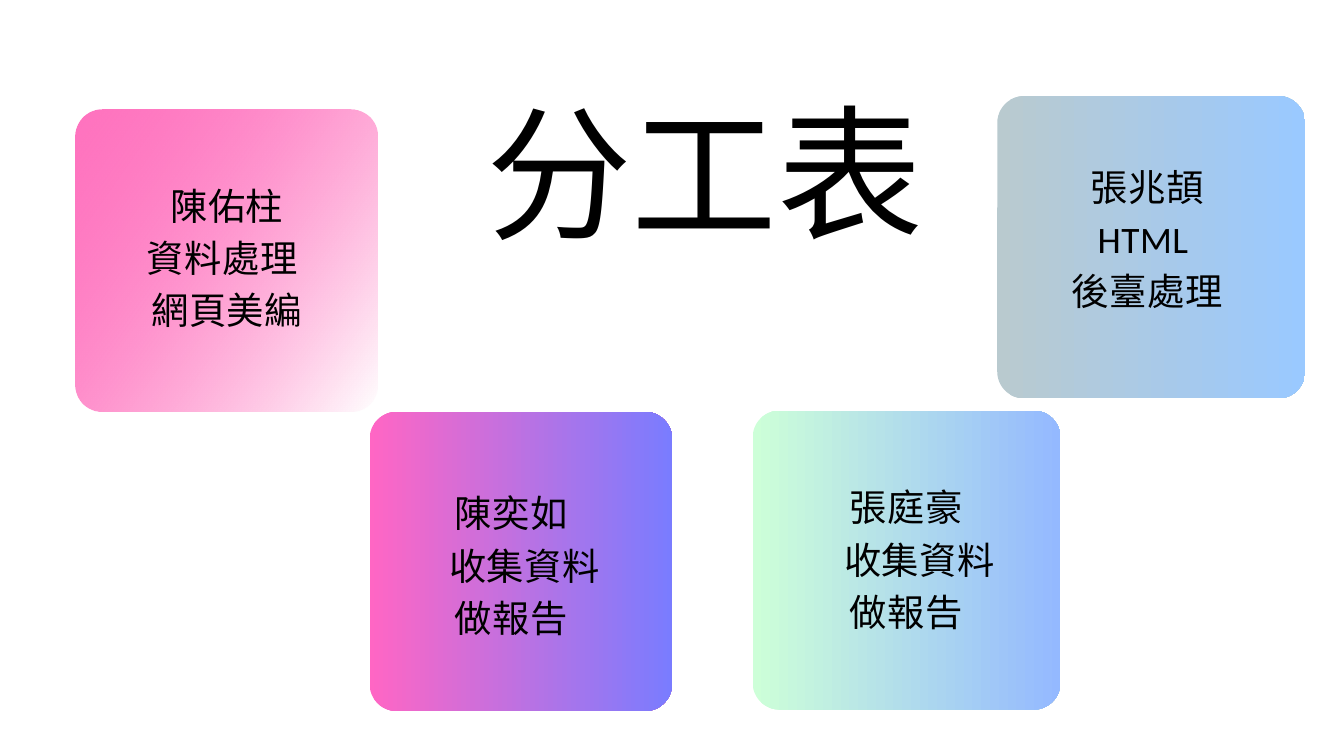
from dataclasses import dataclass

from lxml.etree import SubElement
from pptx import Presentation
from pptx.dml.color import RGBColor
from pptx.enum.shapes import MSO_SHAPE
from pptx.enum.text import MSO_ANCHOR, MSO_AUTO_SIZE, PP_ALIGN
from pptx.oxml.ns import qn
from pptx.util import Inches, Pt


@dataclass
class Line:
    text: str
    indent: float = 0


@dataclass
class Card:
    left: float
    top: float
    width: float
    height: float
    label: tuple[float, float]
    start: str
    end: str
    lines: list[Line]
    angle: float = 0
    alpha: int = 100


FRAME = {"word_wrap": True}
LABEL = FRAME | {"vertical_anchor": MSO_ANCHOR.MIDDLE}
TITLE = FRAME | {"auto_size": MSO_AUTO_SIZE.SHAPE_TO_FIT_TEXT}
SIDES = ("left", "top", "right", "bottom")
RADIUS = 0.4
SHIFT = 0.4

CARDS = [
    Card(1.12, 1.63, 4.5, 4.5, (1.69, 1.93), "FF008A", "FFFFFF",
         [Line("陳佑柱"), Line("資料處理 "), Line("網頁美編")], 325, 55),
    Card(14.84, 1.43, 4.58, 4.5, (15.39, 1.65), "B9CACF", "9AC9FF",
         [Line("張兆頡"), Line("HTML "), Line("後臺處理")]),
    Card(5.5, 6.13, 4.5, 4.45, (5.92, 6.51), "FF66C4", "7A7CFF",
         [Line("陳奕如"), Line("收集資料", SHIFT), Line("做報告")]),
    Card(11.2, 6.11, 4.58, 4.45, (11.8, 6.42), "CDFFD8", "94B9FF",
         [Line("張庭豪"), Line("收集資料", SHIFT), Line("做報告")]),
]


def tint(code: str) -> RGBColor:
    return RGBColor.from_string(code)


def apply(target, values: dict) -> None:
    for name, value in values.items():
        setattr(target, name, value)


def write(shapes, box: tuple, lines: list[Line], size: float, pitch: float,
          space: int, inset: float, form: dict) -> None:
    frame = shapes.add_textbox(*map(Inches, box)).text_frame
    apply(frame, form | {f"margin_{side}": Inches(inset) for side in SIDES})
    for i, line in enumerate(lines):
        para = frame.add_paragraph() if i else frame.paragraphs[0]
        apply(para, {"alignment": PP_ALIGN.CENTER, "line_spacing": Pt(pitch)})
        if line.indent:
            props = para._p.get_or_add_pPr()
            props.set("marL", str(Inches(line.indent)))
            props.set("indent", "0")
        run = para.add_run()
        run.text = line.text
        apply(run.font, {"name": "Calibri", "size": Pt(size)})
        run.font.color.rgb = tint("000000")
        run._r.get_or_add_rPr().set("spc", str(space))


def draw(slide, card: Card) -> None:
    group = slide.shapes.add_group_shape()
    box = (card.left, card.top, card.width, card.height)
    tile = group.shapes.add_shape(MSO_SHAPE.ROUNDED_RECTANGLE, *map(Inches, box))
    tile.adjustments[0] = RADIUS / min(card.width, card.height)
    tile.shadow.inherit = False
    tile.line.fill.background()
    tile.fill.gradient()
    tile.fill.gradient_angle = card.angle
    for stop, code in zip(tile.fill.gradient_stops, (card.start, card.end)):
        stop.color.rgb = tint(code)
    if card.alpha < 100:
        first = next(tile._element.spPr.iter(qn("a:srgbClr")))
        SubElement(first, qn("a:alpha")).set("val", str(card.alpha * 1000))
    write(group.shapes, (*card.label, 3.37, 3.69), card.lines,
          40, 56, 60, 0.06, LABEL)


def main() -> None:
    deck = Presentation()
    apply(deck, {"slide_width": Inches(20), "slide_height": Inches(11.25)})
    slide = deck.slides.add_slide(deck.slide_layouts[6])
    for card in CARDS:
        draw(slide, card)
    write(slide.shapes, (6.98, 0.8, 7.02, 2.91), [Line("分工表")],
          156.2, 218.7, 0, 0, TITLE)
    deck.save("out.pptx")


if __name__ == "__main__":
    main()
